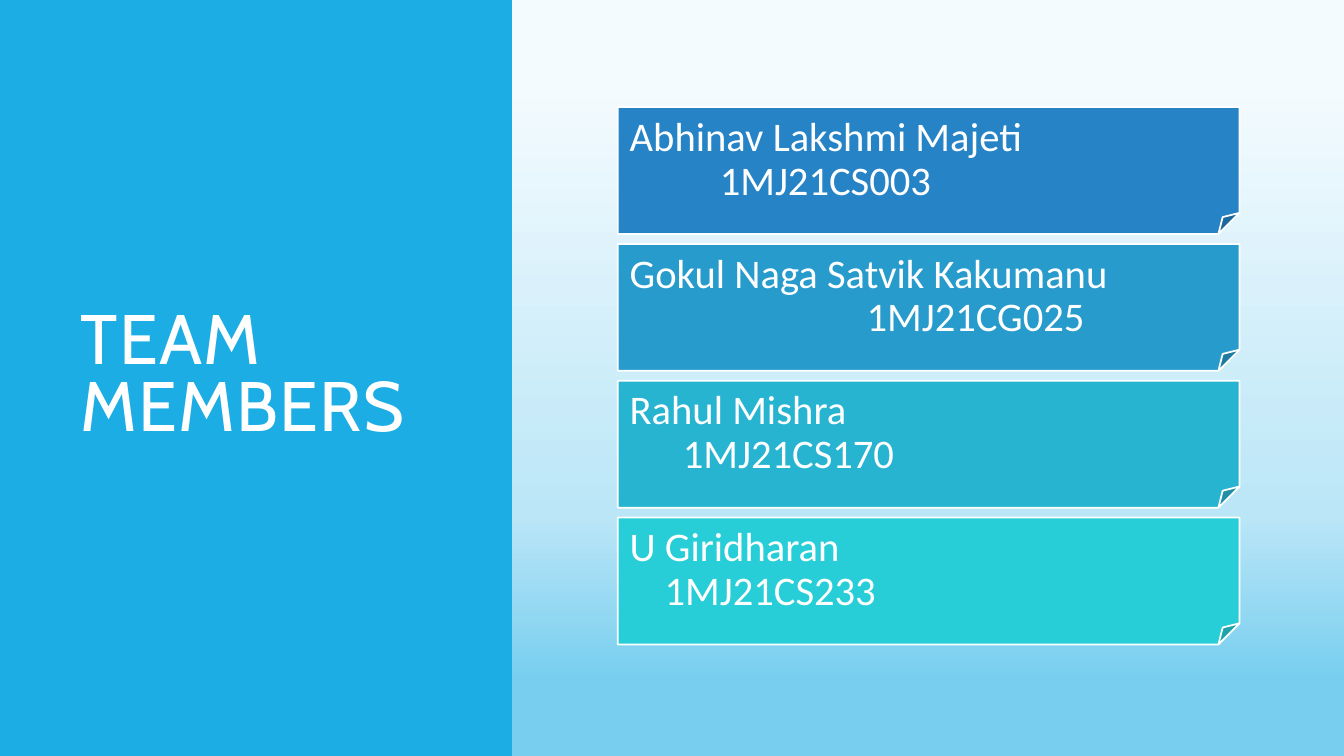
import copy

import pptx
import pptx.dml.color
import pptx.enum.shapes
import pptx.enum.text
import pptx.oxml.ns
import pptx.util
from pptx.util import Cm

WHITE = "FFFFFF"
BACKGROUND_STOPS = [(0.11, "F4FBFE"), (0.68, "BBE6F7"), (0.9, "77CEEF")]
MEMBERS = [
    ("Abhinav Lakshmi Majeti", "1MJ21CS003", 2.27, "2683C6"),
    ("Gokul Naga Satvik Kakumanu", "1MJ21CG025", 5.97, "269BCC"),
    ("Rahul Mishra", "1MJ21CS170", 1.34, "27B4D1"),
    ("U Giridharan", "1MJ21CS233", 0.88, "27CED7"),
]


def color(value):
    """Return the colour for a hex string."""
    return pptx.dml.color.RGBColor.from_string(value)


def paint_background(slide):
    """Fill the slide with a vertical three-stop gradient."""
    fill = slide.background.fill
    fill.gradient()
    fill.gradient_angle = 270
    stop_list = slide.element.find(".//" + pptx.oxml.ns.qn("a:gsLst"))
    stop_list.append(copy.deepcopy(stop_list[-1]))
    for stop, (position, value) in zip(fill.gradient_stops, BACKGROUND_STOPS):
        stop.position = position
        stop.color.rgb = color(value)


def add_panel(slide, kind, left, top, width, height, fill):
    """Add a filled shape without shadow or outline."""
    shape = slide.shapes.add_shape(kind, left, top, width, height)
    shape.shadow.inherit = False
    shape.fill.solid()
    shape.fill.fore_color.rgb = color(fill)
    shape.line.fill.background()
    return shape


def format_paragraph(paragraph, font_name, size, line_spacing):
    """Format a left-aligned white paragraph and its runs."""
    paragraph.alignment = pptx.enum.text.PP_ALIGN.LEFT
    paragraph.line_spacing = line_spacing
    for run in paragraph.runs:
        run.font.name = font_name
        run.font.size = pptx.util.Pt(size)
        run.font.color.rgb = color(WHITE)


def add_title_panel(slide, left, top, width, height):
    """Add the blue side panel with the slide title."""
    add_panel(slide, pptx.enum.shapes.MSO_SHAPE.RECTANGLE,
              left, top, width, height, "1CADE4")
    margin = Cm(1.78)
    title = slide.shapes.add_textbox(left + margin, top + margin,
                                     Cm(9.5), height - 2 * margin)
    frame = title.text_frame
    frame.word_wrap = True
    frame.vertical_anchor = pptx.enum.text.MSO_ANCHOR.MIDDLE
    frame.text = "TEAM MEMBERS"
    paragraph = frame.paragraphs[0]
    format_paragraph(paragraph, "Cabin", 50, 0.8)
    paragraph.runs[0].font._element.set("spc", "100")


def add_member_card(slide, left, top, width, height, member):
    """Add a folded card with a name and an indented number."""
    name, number, indent, fill = member
    card = add_panel(slide, pptx.enum.shapes.MSO_SHAPE.FOLDED_CORNER,
                     left, top, width, height, fill)
    card.line.color.rgb = color(WHITE)
    card.line.width = pptx.util.Pt(1.25)
    frame = card.text_frame
    frame.word_wrap = True
    frame.vertical_anchor = pptx.enum.text.MSO_ANCHOR.MIDDLE
    frame.margin_left = frame.margin_right = Cm(0.3)
    frame.margin_top = frame.margin_bottom = Cm(0.3)
    frame.text = f"{name}\n{number}"
    for paragraph in frame.paragraphs:
        format_paragraph(paragraph, "Calibri", 29, 0.9)
    properties = frame.paragraphs[1]._p.get_or_add_pPr()
    properties.set("marL", str(Cm(indent)))


def add_member_list(slide, left, top, width, height):
    """Stack the member cards evenly in the given box."""
    gap = Cm(0.25)
    card_height = (height - gap * (len(MEMBERS) - 1)) // len(MEMBERS)
    for index, member in enumerate(MEMBERS):
        card_top = top + index * (card_height + gap)
        add_member_card(slide, left, card_top, width, card_height, member)


def main():
    """Build and save the team slide."""
    presentation = pptx.Presentation()
    presentation.slide_width = Cm(33.87)
    presentation.slide_height = Cm(19.05)
    slide = presentation.slides.add_slide(presentation.slide_layouts[6])
    paint_background(slide)
    add_title_panel(slide, 0, 0, Cm(12.9), presentation.slide_height)
    add_member_list(slide, Cm(15.57), Cm(2.7), Cm(15.67), Cm(13.54))
    presentation.save("out.pptx")


if __name__ == "__main__":
    main()
